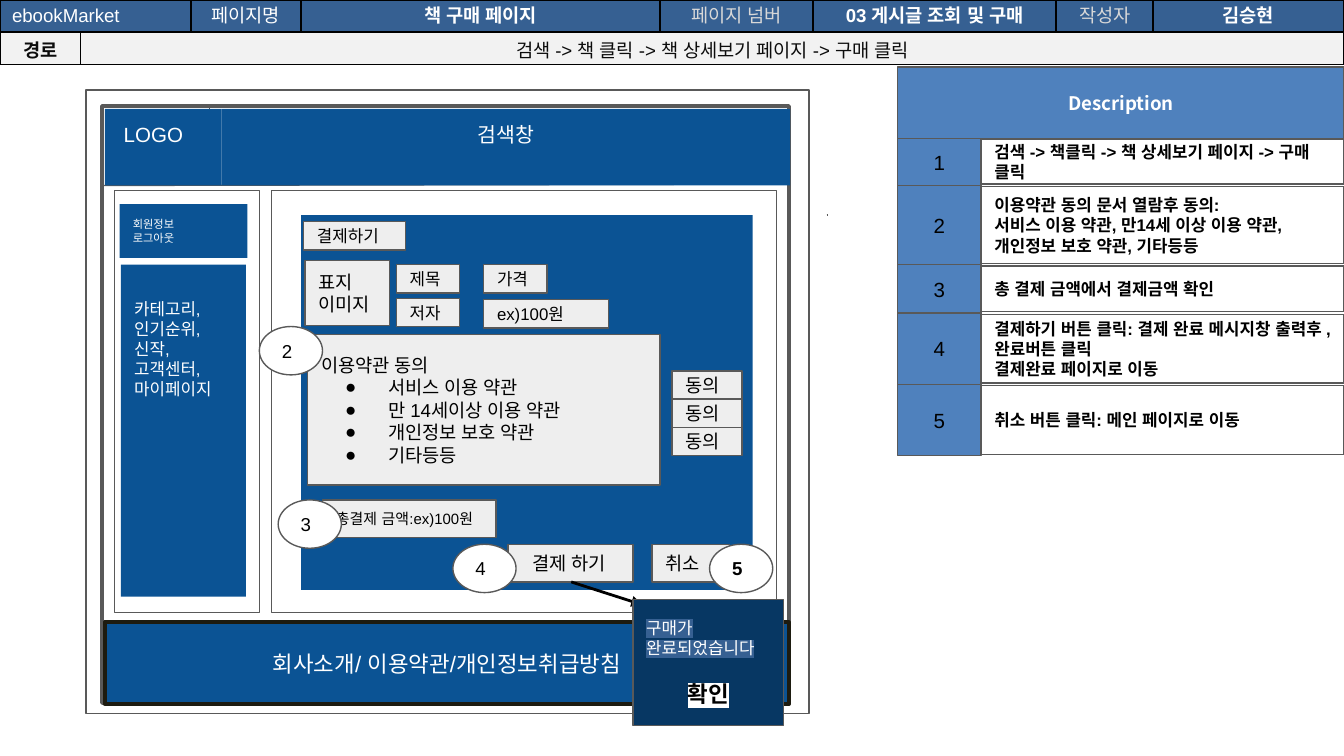
from dataclasses import dataclass
from itertools import pairwise
from typing import Optional

from lxml.etree import SubElement
from pptx import Presentation
from pptx.dml.color import RGBColor
from pptx.enum.shapes import MSO_CONNECTOR, MSO_SHAPE as Preset
from pptx.enum.text import MSO_ANCHOR as Anchor, PP_ALIGN as Align
from pptx.oxml.ns import qn
from pptx.util import Cm, Length, Pt

COLORS = {
    "blue": "0B5394", "navy": "073763", "header": "366092", "label": "4F81BD",
    "button": "EEEEEE", "route": "F2F2F2", "line": "595959", "footer_line": "1D1B10",
    "white": "FFFFFF", "black": "000000", "dim": "D8D8D8", "ink": "0C0C0C",
}


@dataclass
class Box:
    left: float
    top: float
    width: float
    height: float
    text: str = ""
    size: float = 10
    fill: Optional[str] = None
    line: Optional[str] = "line"
    weight: float = 0.75
    color: str = "black"
    bold: bool = False
    align: Align = Align.LEFT
    anchor: Anchor = Anchor.MIDDLE
    preset: Preset = Preset.RECTANGLE
    font: str = "Arial"
    inset_left: float = 0.1
    inset_top: float = 0.1
    inset_right: float = 0.1


@dataclass
class HeaderCell:
    row: int
    column: int
    text: str
    color: str = "white"
    bold: bool = True
    align: Align = Align.CENTER


def inches(value: float) -> Length:
    return Cm(value * 2.54)


def rgb(name: str) -> RGBColor:
    return RGBColor.from_string(COLORS[name])


def format_runs(frame, size: float, color: str, bold: bool, font: str = "Arial") -> None:
    for para in frame.paragraphs:
        for run in para.runs:
            run.font.size = Pt(size)
            run.font.bold = bold
            run.font.color.rgb = rgb(color)
            run.font.name = font
            for script in ("ea", "cs"):
                SubElement(run._r.get_or_add_rPr(), qn(f"a:{script}"), typeface=font)


def draw_box(page, box: Box):
    shape = page.shapes.add_shape(
        box.preset, *map(inches, (box.left, box.top, box.width, box.height)))
    shape.shadow.inherit = False
    if box.fill:
        shape.fill.solid()
        shape.fill.fore_color.rgb = rgb(box.fill)
    else:
        shape.fill.background()
    if box.line:
        shape.line.color.rgb = rgb(box.line)
        shape.line.width = Pt(box.weight)
    else:
        shape.line.fill.background()
    if box.text:
        frame = shape.text_frame
        frame.word_wrap = True
        frame.vertical_anchor = box.anchor
        frame.margin_left, frame.margin_top = inches(box.inset_left), inches(box.inset_top)
        frame.margin_right, frame.margin_bottom = inches(box.inset_right), inches(0.1)
        frame.text = box.text
        for para in frame.paragraphs:
            para.alignment = box.align
        format_runs(frame, box.size, box.color, box.bold, box.font)
    return shape


def draw_line(page, start: tuple[float, float], end: tuple[float, float],
              color: str = "line", weight: float = 0.75, arrow: bool = False) -> None:
    connector = page.shapes.add_connector(
        MSO_CONNECTOR.STRAIGHT, *map(inches, (*start, *end)))
    connector.line.color.rgb = rgb(color)
    connector.line.width = Pt(weight)
    if arrow:
        SubElement(connector.line._get_or_add_ln(), qn("a:tailEnd"), type="triangle")
    SubElement(connector._element.spPr, qn("a:effectLst"))


def add_bullet(para) -> None:
    properties = para._p.get_or_add_pPr()
    properties.set("marL", str(inches(0.5)))
    properties.set("indent", str(inches(-0.32)))
    bullet_color = SubElement(properties, qn("a:buClr"))
    SubElement(bullet_color, qn("a:srgbClr"), val=COLORS["black"])
    SubElement(properties, qn("a:buFont"), typeface="Arial")
    SubElement(properties, qn("a:buChar"), char="●")


def highlight(para, color: str) -> None:
    for run in para.runs:
        properties = run._r.get_or_add_rPr()
        mark = SubElement(properties, qn("a:highlight"))
        SubElement(mark, qn("a:srgbClr"), val=COLORS[color])
        properties.find(qn("a:solidFill")).addnext(mark)


def draw_header(page, cells: list[HeaderCell]) -> None:
    widths = [0.6, 0.82, 0.82, 2.67, 1.14, 1.81, 0.72, 1.42]
    row_height = 0.24
    holder = page.shapes.add_table(
        2, len(widths), 0, 0, inches(sum(widths)), inches(2 * row_height))
    table = holder.table
    for column, width in zip(table.columns, widths):
        column.width = inches(width)
    for row_index, (row, fill) in enumerate(zip(table.rows, ("header", "route"))):
        row.height = inches(row_height)
        for cell in row.cells:
            cell.margin_left = cell.margin_right = inches(0.09)
            cell.margin_top, cell.margin_bottom = inches(0.04), 0
            cell.vertical_anchor = Anchor.MIDDLE if row_index else Anchor.TOP
            for side in ("lnL", "lnR", "lnT", "lnB"):
                border = SubElement(cell._tc.get_or_add_tcPr(), qn(f"a:{side}"), w=str(Pt(1)))
                paint = SubElement(border, qn("a:solidFill"))
                SubElement(paint, qn("a:srgbClr"), val=COLORS["black"])
            cell.fill.solid()
            cell.fill.fore_color.rgb = rgb(fill)
    table.cell(0, 0).merge(table.cell(0, 1))
    table.cell(1, 1).merge(table.cell(1, len(widths) - 1))
    for item in cells:
        frame = table.cell(item.row, item.column).text_frame
        frame.text = item.text
        frame.paragraphs[0].alignment = item.align
        format_runs(frame, 10, item.color, item.bold)
    holder.width = holder.height = inches(3.28)


def button(left: float, top: float, width: float, height: float, text: str,
           size: float = 9, inset_left: float = 0.1) -> Box:
    return Box(left, top, width, height, text, size, "button", inset_left=inset_left)


def draw_marker(page, left: float, top: float, number: str, bold: bool = False) -> None:
    draw_box(page, Box(left, top, 0.47, 0.36, number, fill="white", bold=bold,
                       preset=Preset.OVAL))


def draw_frame(page) -> None:
    draw_box(page, Box(0.64, 0.67, 5.38, 4.64))
    draw_box(page, Box(0.76, 0.79, 5.11, 4.44, weight=2.25))
    draw_line(page, (0.77, 1.38), (5.88, 1.37))
    draw_line(page, (0.77, 4.62), (5.88, 4.62))
    for left, width in ((2.02, 3.76), (0.85, 1.08)):
        draw_box(page, Box(left, 1.42, width, 3.14))
    draw_line(page, (6.15, 1.6), (6.16, 1.6))
    draw_line(page, (1.56, 1.26), (1.56, 0.79))
    panel = dict(fill="blue", line=None, color="white", anchor=Anchor.TOP)
    for box in (
        Box(0.78, 0.81, 0.87, 0.57, "LOGO", 11, inset_left=0.14, **panel),
        Box(1.65, 0.81, 4.23, 0.57, "검색창", 11, align=Align.CENTER, **panel),
        Box(0.89, 1.52, 0.95, 0.4, "회원정보\n로그아웃", 6, **panel),
        Box(0.78, 4.63, 5.09, 0.61, "회사소개/ 이용약관/개인정보취급방침", 12, "blue",
            "footer_line", 2, "white", align=Align.CENTER),
        Box(0.9, 1.97, 0.93, 2.47, "카테고리,\n인기순위,\n신작,\n고객센터,\n마이페이지", 9,
            inset_top=0.25, **panel),
        Box(2.24, 1.6, 3.36, 2.79, **panel),
    ):
        draw_box(page, box)


def draw_order_form(page) -> None:
    for box in (
        button(2.26, 1.65, 0.76, 0.21, "결제하기"),
        button(2.27, 1.94, 0.63, 0.48, "표지 이미지", 10),
        button(2.95, 1.97, 0.47, 0.21, "제목"),
        button(2.95, 2.22, 0.47, 0.21, "저자"),
        button(3.6, 1.97, 0.47, 0.21, "가격"),
        button(3.6, 2.23, 0.93, 0.21, "ex)100원"),
        *(button(5, 2.76 + 0.21 * index, 0.52, 0.21, "동의", 10) for index in range(3)),
        button(2.4, 3.72, 1.29, 0.28, "총결제 금액:ex)100원", 8),
        button(3.78, 4.05, 0.93, 0.28, "결제 하기", 10, 0.18),
        button(4.85, 4.05, 0.58, 0.28, "취소", 10),
    ):
        draw_box(page, box)
    terms = draw_box(page, button(
        2.29, 2.49, 2.62, 1.12,
        "이용약관 동의\n서비스 이용 약관\n만 14세이상 이용 약관\n개인정보 보호 약관\n기타등등", 10))
    for para in terms.text_frame.paragraphs[1:]:
        add_bullet(para)


def draw_popup(page) -> None:
    draw_line(page, (4.25, 4.33), (4.78, 4.5), "black", 1.5, arrow=True)
    popup = draw_box(page, Box(4.71, 4.46, 1.12, 0.94, "구매가 완료되었습니다\n확인", 9,
                               "navy", color="white"))
    message, confirm = popup.text_frame.paragraphs
    confirm.alignment = Align.CENTER
    confirm.space_before = Pt(12)
    for run in confirm.runs:
        run.font.size = Pt(12)
        run.font.bold = True
        run.font.color.rgb = rgb("black")
    highlight(message, "header")
    highlight(confirm, "white")


def draw_description(page) -> None:
    draw_box(page, Box(6.68, 0.5, 3.32, 0.53, "Description", 10, "label", color="white",
                       bold=True, align=Align.CENTER, font="Noto Sans CJK KR"))
    edges = [1.03, 1.38, 1.97, 2.33, 2.86, 3.39]
    steps = [
        "검색 -> 책클릭 -> 책 상세보기 페이지 -> 구매 클릭",
        "이용약관 동의 문서 열람후 동의:\n서비스 이용 약관, 만14세 이상 이용 약관,\n개인정보 보호 약관, 기타등등",
        "총 결제 금액에서 결제금액 확인",
        "결제하기 버튼 클릭: 결제 완료 메시지창 출력후 ,완료버튼 클릭\n결제완료 페이지로 이동",
        "취소 버튼 클릭: 메인 페이지로 이동",
    ]
    for number, ((top, bottom), step) in enumerate(zip(pairwise(edges), steps), 1):
        draw_box(page, Box(7.3, top + 0.01, 2.7, bottom - top - 0.02, step, 9, "white",
                           bold=True, inset_right=0.15 if number == 1 else 0.1))
        draw_box(page, Box(6.68, top, 0.62, bottom - top, str(number), 11, "label",
                           align=Align.CENTER))


def main() -> None:
    deck = Presentation()
    deck.slide_width = Cm(25.4)
    deck.slide_height = deck.slide_width * 9 // 16
    page = deck.slides.add_slide(deck.slide_layouts[6])
    draw_frame(page)
    draw_header(page, [
        HeaderCell(0, 0, "ebookMarket", bold=False, align=Align.LEFT),
        HeaderCell(0, 2, "페이지명", bold=False),
        HeaderCell(0, 3, "책 구매 페이지"),
        HeaderCell(0, 4, "페이지 넘버", "dim", False),
        HeaderCell(0, 5, "03 게시글 조회 및 구매"),
        HeaderCell(0, 6, "작성자", "dim", False),
        HeaderCell(0, 7, "김승현"),
        HeaderCell(1, 0, "경로", "ink"),
        HeaderCell(1, 1, "검색 -> 책 클릭 -> 책 상세보기 페이지 -> 구매 클릭", "ink", False),
    ])
    draw_order_form(page)
    draw_description(page)
    draw_popup(page)
    for left, top, number in ((1.93, 2.43, "2"), (2.07, 3.72, "3"), (3.37, 4.05, "4")):
        draw_marker(page, left, top, number)
    draw_marker(page, 5.28, 4.05, "5", bold=True)
    deck.save("out.pptx")


if __name__ == "__main__":
    main()
